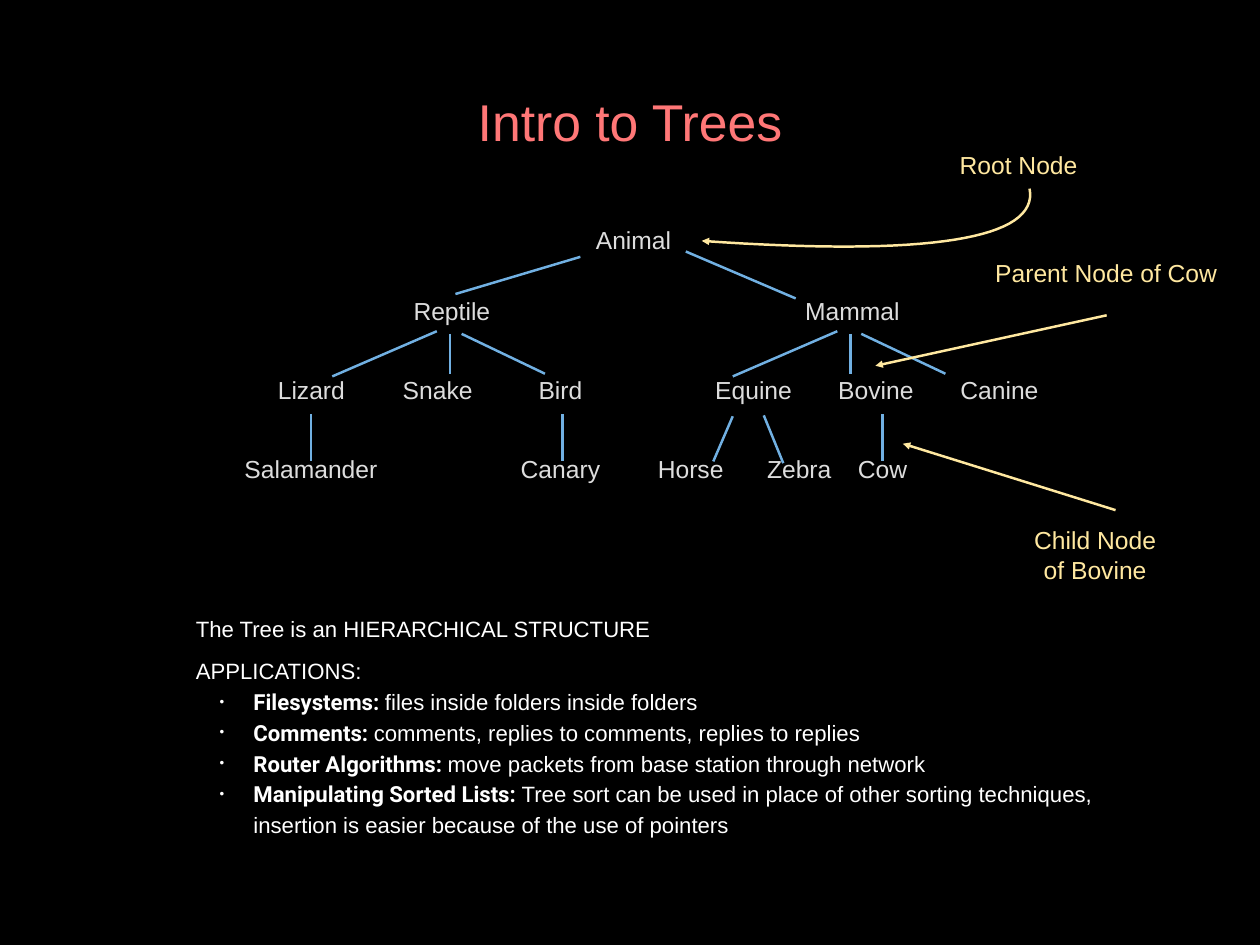
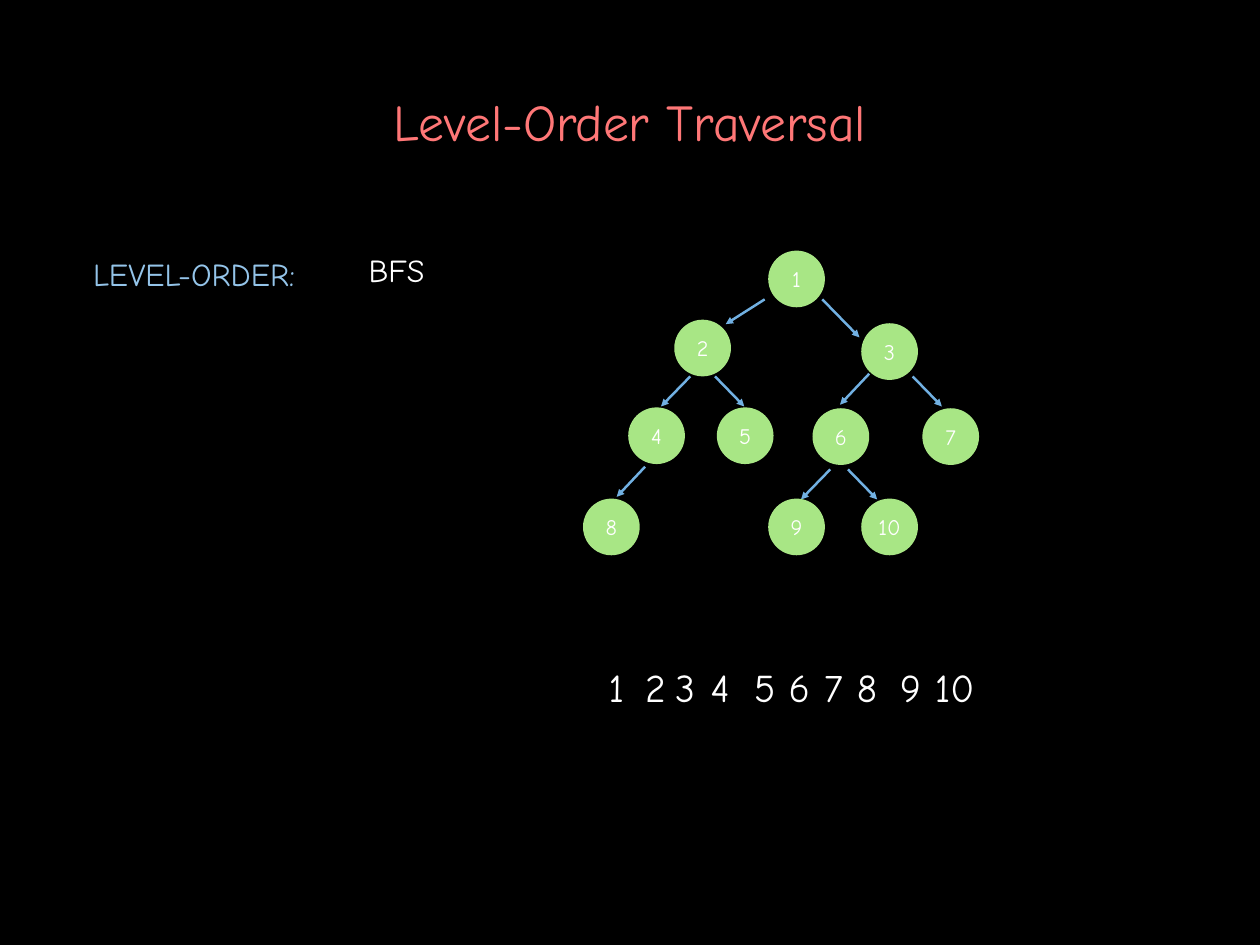
from dataclasses import dataclass

import pptx
import pptx.dml.color
import pptx.enum.shapes
import pptx.enum.text
import pptx.oxml
import pptx.oxml.ns
import pptx.util
from pptx.presentation import Presentation
from pptx.shapes.base import BaseShape
from pptx.slide import Slide
from pptx.text.text import TextFrame

RGBColor = pptx.dml.color.RGBColor
ALIGN = pptx.enum.text.PP_ALIGN
AUTO_SIZE = pptx.enum.text.MSO_AUTO_SIZE

BLACK = RGBColor(0x00, 0x00, 0x00)
WHITE = RGBColor(0xFF, 0xFF, 0xFF)
CORAL = RGBColor(0xFF, 0x77, 0x77)
GREY = RGBColor(0xDD, 0xDD, 0xDD)
BLUE = RGBColor(0x71, 0xB0, 0xE2)
PALE_BLUE = RGBColor(0x94, 0xC4, 0xE9)
YELLOW = RGBColor(0xFF, 0xE8, 0xA0)
GREEN = RGBColor(0xA8, 0xE6, 0x85)

ARIAL = "Arial"
COMIC = "Comic Neue"
ROBOTO = "Roboto"

EMU_PER_PX = 9144
SLIDE_WIDTH, SLIDE_HEIGHT = 1422, 1067
INSET = 6
NODE_SIZE = 64
LABEL_HEIGHT = 54
CURVE_STEPS = 32


@dataclass(frozen=True)
class Box:
    left: int
    top: int
    width: int
    height: int


@dataclass(frozen=True)
class Style:
    font: str
    size: int
    color: RGBColor
    align: ALIGN = ALIGN.LEFT
    line_spacing: int | None = None


@dataclass(frozen=True)
class Label:
    text: str
    left: int
    width: int


@dataclass(frozen=True)
class Segment:
    x1: int
    y1: int
    x2: int
    y2: int


@dataclass(frozen=True)
class Application:
    name: str
    detail: str


TITLE_BOX = Box(99, 94, 1224, 85)
TREE_STYLE = Style(ARIAL, 20, GREY, ALIGN.CENTER)
NOTE_STYLE = Style(ARIAL, 20, YELLOW, ALIGN.CENTER)
BODY_STYLE = Style(ARIAL, 18, WHITE, line_spacing=25)
NODE_STYLE = Style(COMIC, 18, WHITE, ALIGN.CENTER)
HEADING_STYLE = Style(COMIC, 26, PALE_BLUE, line_spacing=25)
METHOD_STYLE = Style(COMIC, 26, WHITE, line_spacing=25)
SEQUENCE_STYLE = Style(COMIC, 32, WHITE, line_spacing=25)

TREE_LEVELS = {
    244: [Label("Animal", 653, 124)],
    324: [Label("Reptile", 449, 122), Label("Mammal", 891, 142)],
    413: [
        Label("Lizard", 295, 113), Label("Snake", 443, 102), Label("Bird", 593, 79),
        Label("Equine", 791, 119), Label("Bovine", 929, 119), Label("Canine", 1066, 124),
    ],
    502: [
        Label("Salamander", 253, 196), Label("Canary", 570, 125), Label("Horse", 732, 95),
        Label("Zebra", 851, 102), Label("Cow", 957, 78),
    ],
}
TREE_EDGES = [
    Segment(655, 290, 514, 332), Segment(774, 284, 898, 337),
    Segment(493, 374, 375, 425), Segment(508, 377, 508, 422), Segment(521, 377, 615, 422),
    Segment(945, 374, 827, 425), Segment(960, 377, 960, 422), Segment(972, 377, 1067, 422),
    Segment(351, 468, 351, 521), Segment(635, 468, 635, 521), Segment(996, 468, 996, 521),
    Segment(827, 470, 805, 521), Segment(862, 469, 884, 523),
]
NOTE_ARROWS = [Segment(1259, 576, 1019, 501), Segment(1249, 356, 988, 413)]
ROOT_CURVE = [(1162, 213), (1173, 270), (1049, 290), (792, 272)]
APPLICATIONS = [
    Application("Filesystems: ", "files inside folders inside folders"),
    Application("Comments: ", "comments, replies to comments, replies to replies"),
    Application("Router Algorithms: ", "move packets from base station through network"),
    Application(
        "Manipulating Sorted Lists: ",
        "Tree sort can be used in place of other sorting techniques, "
        "insertion is easier because of the use of pointers",
    ),
]

NODE_POSITIONS = [
    (867, 283), (761, 361), (972, 365), (709, 460), (809, 460),
    (917, 461), (1041, 461), (658, 563), (867, 563), (972, 563),
]
NODE_ARROWS = [
    Segment(863, 338, 819, 366), Segment(928, 338, 970, 381),
    Segment(779, 425, 746, 459), Segment(807, 425, 840, 459),
    Segment(981, 422, 948, 457), Segment(1030, 425, 1063, 459),
    Segment(728, 527, 696, 561),
    Segment(937, 530, 904, 564), Segment(957, 530, 990, 564),
]
SEQUENCE_STOPS = [681, 722, 756, 796, 845, 884, 924, 961, 1010, 1049, 1118]


def px(length: float) -> pptx.util.Emu:
    return pptx.util.Emu(round(length * EMU_PER_PX))


def place(shape: BaseShape, box: Box) -> None:
    shape.left, shape.top = px(box.left), px(box.top)
    shape.width, shape.height = px(box.width), px(box.height)


def format_text(text_frame: TextFrame, style: Style, wrap: bool = True, inset: int = INSET) -> None:
    text_frame.auto_size = AUTO_SIZE.NONE if wrap else AUTO_SIZE.SHAPE_TO_FIT_TEXT
    text_frame.word_wrap = wrap
    text_frame.vertical_anchor = pptx.enum.text.MSO_ANCHOR.MIDDLE
    text_frame.margin_left = text_frame.margin_right = px(inset)
    text_frame.margin_top = text_frame.margin_bottom = px(inset)
    for paragraph in text_frame.paragraphs:
        paragraph.alignment = style.align
        paragraph.space_before = pptx.util.Pt(0)
        if style.line_spacing:
            paragraph.line_spacing = pptx.util.Pt(style.line_spacing)
        for run in paragraph.runs:
            run.font.name = style.font
            run.font.size = pptx.util.Pt(style.size)
            run.font.color.rgb = style.color


def add_text(slide: Slide, text: str, box: Box, style: Style, wrap: bool = True) -> None:
    shape = slide.shapes.add_textbox(px(box.left), px(box.top), px(box.width), px(box.height))
    shape.text_frame.text = text
    format_text(shape.text_frame, style, wrap)


def add_slide(presentation: Presentation, layout_index: int, title: str, font: str) -> Slide:
    slide = presentation.slides.add_slide(presentation.slide_layouts[layout_index])
    shape = slide.shapes.title
    place(shape, TITLE_BOX)
    shape.text_frame.text = title
    format_text(shape.text_frame, Style(font, 42, CORAL, ALIGN.CENTER))
    return slide


def format_line(shape: BaseShape, color: RGBColor, arrow: bool) -> None:
    shape.line.color.rgb = color
    shape.line.width = pptx.util.Pt(2)
    if arrow:
        line = shape.line._get_or_add_ln()
        pptx.oxml.ns.qn("a:tailEnd")
        tail = line.makeelement(pptx.oxml.ns.qn("a:tailEnd"), {"type": "triangle"})
        line.append(tail)


def add_segment(slide: Slide, segment: Segment, color: RGBColor, arrow: bool = False) -> None:
    connector = slide.shapes.add_connector(
        pptx.enum.shapes.MSO_CONNECTOR.STRAIGHT,
        px(segment.x1), px(segment.y1), px(segment.x2), px(segment.y2),
    )
    format_line(connector, color, arrow)
    properties = connector._element.spPr
    properties.append(properties.makeelement(pptx.oxml.ns.qn("a:effectLst"), {}))


def curve_point(controls: list[tuple[int, int]], t: float) -> tuple[int, int]:
    weights = ((1 - t) ** 3, 3 * t * (1 - t) ** 2, 3 * t**2 * (1 - t), t**3)
    x, y = (sum(w * c[axis] for w, c in zip(weights, controls)) for axis in (0, 1))
    return px(x), px(y)


def add_curve(slide: Slide, controls: list[tuple[int, int]], color: RGBColor) -> None:
    start, *rest = [curve_point(controls, step / CURVE_STEPS) for step in range(CURVE_STEPS + 1)]
    builder = slide.shapes.build_freeform(*start)
    builder.add_line_segments(rest, close=False)
    curve = builder.convert_to_shape()
    curve.shadow.inherit = False
    curve.fill.background()
    format_line(curve, color, arrow=True)


def fill_applications(shape: BaseShape) -> None:
    place(shape, Box(215, 732, 1072, 220))
    text_frame = shape.text_frame
    text_frame.text = "APPLICATIONS:"
    heading = text_frame.paragraphs[0]._p.get_or_add_pPr()
    heading.set("marL", "0")
    heading.set("indent", "0")
    heading.append(heading.makeelement(pptx.oxml.ns.qn("a:buNone"), {}))
    for application in APPLICATIONS:
        paragraph = text_frame.add_paragraph()
        properties = paragraph._p.get_or_add_pPr()
        properties.set("marL", str(px(65)))
        properties.set("indent", str(px(-38)))
        for tag, attributes in (
            ("a:buSzPct", {"val": "60000"}),
            ("a:buFont", {"typeface": ARIAL}),
            ("a:buChar", {"char": "•"}),
        ):
            properties.append(properties.makeelement(pptx.oxml.ns.qn(tag), attributes))
        for text in (application.name, application.detail):
            paragraph.add_run().text = text
    format_text(text_frame, BODY_STYLE)
    for paragraph in text_frame.paragraphs[1:]:
        paragraph.runs[0].font.name = ROBOTO
        paragraph.runs[0].font.bold = True


def build_intro(presentation: Presentation) -> None:
    slide = add_slide(presentation, 1, "Intro to Trees", ARIAL)
    fill_applications(slide.placeholders[1])
    add_text(slide, "The Tree is an HIERARCHICAL STRUCTURE", Box(215, 685, 1130, 46), BODY_STYLE)
    for top, labels in TREE_LEVELS.items():
        for label in labels:
            box = Box(label.left, top, label.width, LABEL_HEIGHT)
            add_text(slide, label.text, box, TREE_STYLE, wrap=False)
    for edge in TREE_EDGES:
        add_segment(slide, edge, BLUE)
    add_text(slide, "Root Node", Box(1059, 159, 181, LABEL_HEIGHT), NOTE_STYLE, wrap=False)
    add_text(slide, "Parent Node of Cow", Box(1116, 259, 265, 97), NOTE_STYLE)
    add_text(slide, "Child Node\nof Bovine", Box(1139, 578, 194, 97), NOTE_STYLE, wrap=False)
    for arrow in NOTE_ARROWS:
        add_segment(slide, arrow, YELLOW, arrow=True)
    add_curve(slide, ROOT_CURVE, YELLOW)


def add_node(slide: Slide, number: int, left: int, top: int) -> None:
    node = slide.shapes.add_shape(
        pptx.enum.shapes.MSO_SHAPE.OVAL, px(left), px(top), px(NODE_SIZE), px(NODE_SIZE)
    )
    node.shadow.inherit = False
    node.fill.solid()
    node.fill.fore_color.rgb = GREEN
    node.line.fill.background()
    node.text_frame.text = str(number)
    format_text(node.text_frame, NODE_STYLE, inset=0)


def build_traversal(presentation: Presentation) -> None:
    slide = add_slide(presentation, 5, "Level-Order Traversal", COMIC)
    for arrow in NODE_ARROWS:
        add_segment(slide, arrow, BLUE, arrow=True)
    for number, (left, top) in enumerate(NODE_POSITIONS, start=1):
        add_node(slide, number, left, top)
    add_text(slide, "LEVEL-ORDER:", Box(99, 288, 300, 50), HEADING_STYLE)
    add_text(slide, "BFS", Box(410, 284, 81, 49), METHOD_STYLE, wrap=False)
    for number, (left, right) in enumerate(zip(SEQUENCE_STOPS, SEQUENCE_STOPS[1:]), start=1):
        add_text(slide, str(number), Box(left, 680, right - left, 210), SEQUENCE_STYLE)


def main() -> None:
    presentation = pptx.Presentation()
    presentation.slide_width, presentation.slide_height = px(SLIDE_WIDTH), px(SLIDE_HEIGHT)
    background = presentation.slide_master.background.fill
    background.solid()
    background.fore_color.rgb = BLACK
    build_intro(presentation)
    build_traversal(presentation)
    presentation.save("out.pptx")


if __name__ == "__main__":
    main()
